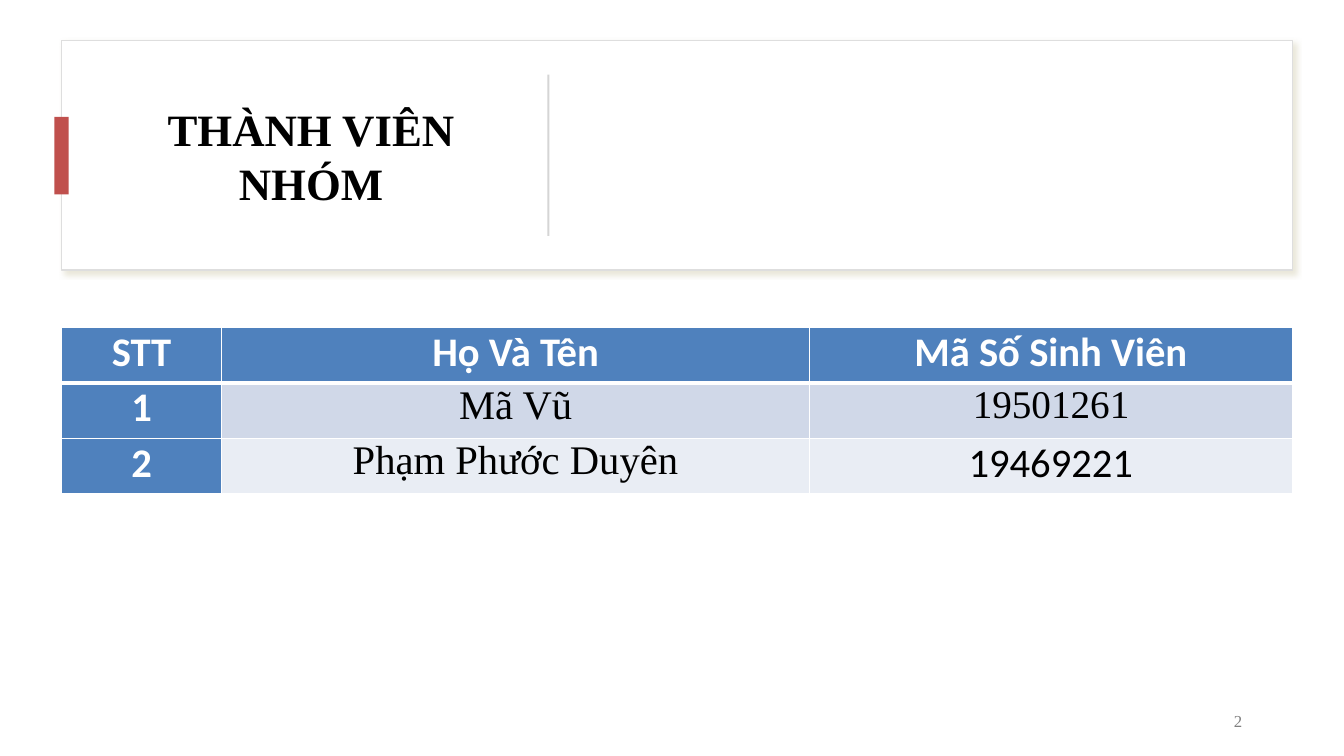
from dataclasses import dataclass
from lxml import etree
from pptx import Presentation
from pptx.dml.color import RGBColor
from pptx.enum.shapes import MSO_SHAPE
from pptx.enum.text import MSO_ANCHOR, PP_ALIGN
from pptx.oxml import parse_xml
from pptx.oxml.ns import nsdecls, qn
from pptx.util import Inches, Pt


@dataclass(frozen=True)
class Theme:
    serif: str = "Times New Roman"
    sans: str = "Calibri"
    white: str = "FFFFFF"
    black: str = "000000"
    blue: str = "4F81BD"
    red: str = "C0504D"
    bands: tuple = ("D0D8E8", "E9EDF4")
    frame: str = "DEDEDE"
    divider: str = "D5D5D5"
    shadow: str = "D5D0B5"
    gray: str = "808080"
    title: int = 32
    cell: int = 29
    id_small: int = 28
    number: int = 12


theme = Theme()


def add_block(left, top, width, height, color):
    block = slide.shapes.add_shape(MSO_SHAPE.RECTANGLE, Inches(left), Inches(top),
                                   Inches(width), Inches(height))
    block.shadow.inherit = False
    block.fill.solid()
    block.fill.fore_color.rgb = RGBColor.from_string(color)
    block.line.fill.background()
    return block


def write(frame, text, size, font, color, bold=False, align=PP_ALIGN.CENTER):
    frame.word_wrap = True
    paragraph = frame.paragraphs[0]
    paragraph.alignment = align
    run = paragraph.add_run()
    run.text = text
    run.font.size = Pt(size)
    run.font.name = font
    run.font.bold = bold
    run.font.color.rgb = RGBColor.from_string(color)
    return paragraph


deck = Presentation()
deck.slide_width, deck.slide_height = Inches(13.33), Inches(7.5)
slide = deck.slides.add_slide(deck.slide_layouts[6])

# Title card with a soft shadow
card = add_block(0.61, 0.4, 12.21, 2.28, theme.white)
card.line.color.rgb = RGBColor.from_string(theme.frame)
card.line.width = Pt(1)
effects = card._element.spPr.find(qn("a:effectLst"))
effects.append(parse_xml(
    f'<a:outerShdw {nsdecls("a")} blurRad="{Pt(4)}" dist="{Pt(3)}" dir="2700000" algn="tl" '
    f'rotWithShape="0"><a:srgbClr val="{theme.shadow}"><a:alpha val="50000"/></a:srgbClr>'
    '</a:outerShdw>'))

# Title, red accent and divider
title = slide.shapes.add_textbox(Inches(1.14), Inches(0.64), Inches(3.89), Inches(1.8)).text_frame
title.vertical_anchor = MSO_ANCHOR.MIDDLE
write(title, "THÀNH VIÊN NHÓM", theme.title, theme.serif, theme.black, bold=True)
add_block(0.54, 1.16, 0.14, 0.77, theme.red)
add_block(5.43, 0.74, 0.02, 1.6, theme.divider)

# Slide number
number = slide.shapes.add_textbox(Inches(9.42), Inches(6.95), Inches(3), Inches(0.4)).text_frame
number.vertical_anchor = MSO_ANCHOR.MIDDLE
write(number, "2", theme.number, theme.serif, theme.gray,
      align=PP_ALIGN.RIGHT).space_after = Pt(6)

# Member table: text, font and size of each cell
members = [
    [("STT", theme.sans, theme.cell), ("Họ Và Tên", theme.sans, theme.cell),
     ("Mã Số Sinh Viên", theme.sans, theme.cell)],
    [("1", theme.sans, theme.cell), ("Mã Vũ", theme.serif, theme.cell),
     ("19501261", theme.serif, theme.id_small)],
    [("2", theme.sans, theme.cell), ("Phạm Phước Duyên", theme.serif, theme.cell),
     ("19469221", theme.sans, theme.cell)],
]
table = slide.shapes.add_table(3, 3, Inches(0.61), Inches(3.25), Inches(12.21), Inches(1.64)).table
for column, width in zip(table.columns, (1.59, 5.83, 4.79)):
    column.width = Inches(width)
for r, member in enumerate(members):
    table.rows[r].height = Inches(0.55)
    for c, (text, font, size) in enumerate(member):
        cell = table.cell(r, c)
        heading = r == 0 or c == 0
        cell.margin_left = cell.margin_right = Inches(0.13)
        cell.margin_top = cell.margin_bottom = 0
        write(cell.text_frame, text, size, font,
              theme.white if heading else theme.black, bold=heading)
        # White borders, thicker under the header row
        thick_side = {0: "lnB", 1: "lnT"}.get(r)
        for side in ("lnL", "lnR", "lnT", "lnB"):
            border = etree.SubElement(cell._tc.get_or_add_tcPr(), qn(f"a:{side}"),
                                      w=str(Pt(3 if side == thick_side else 1)))
            paint = etree.SubElement(border, qn("a:solidFill"))
            etree.SubElement(paint, qn("a:srgbClr"), val=theme.white)
        cell.fill.solid()
        cell.fill.fore_color.rgb = RGBColor.from_string(
            theme.blue if heading else theme.bands[r - 1])

deck.save("out.pptx")
